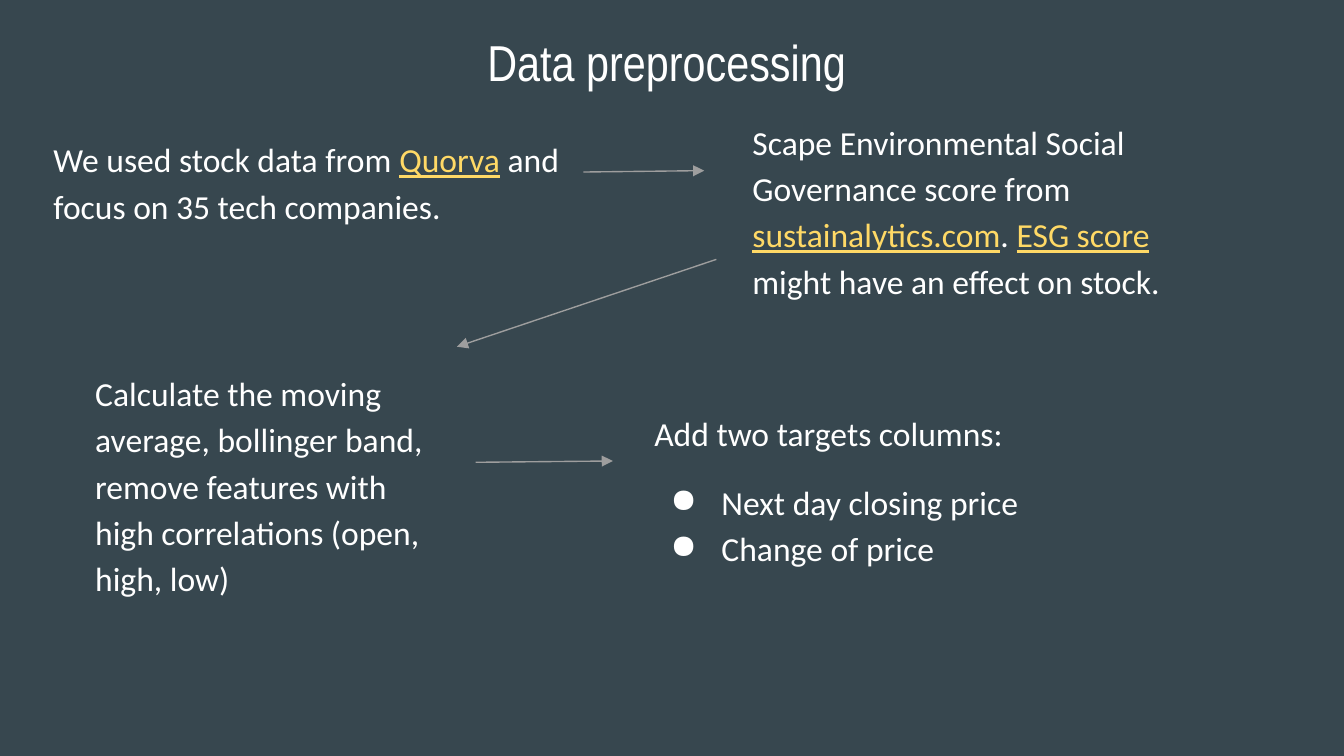
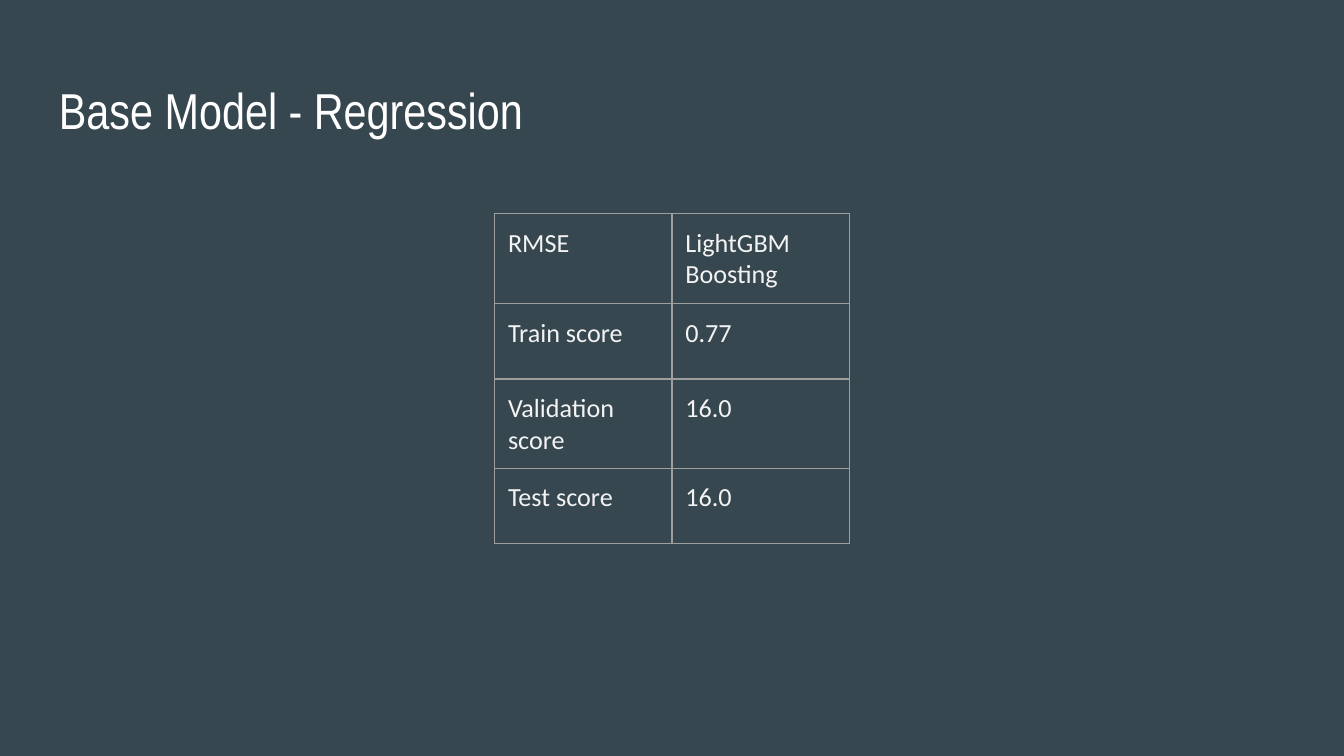
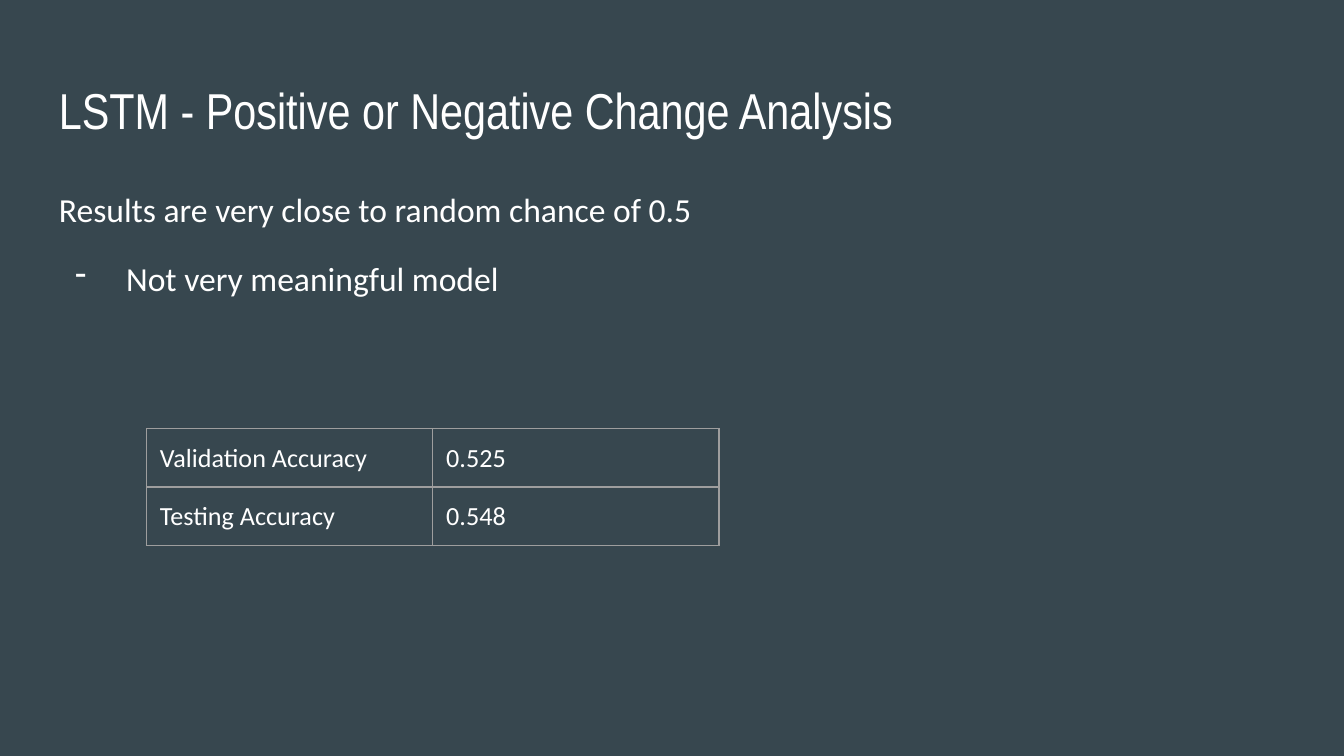
import dataclasses

import lxml.etree
import pptx
import pptx.dml.color
import pptx.enum.shapes
import pptx.enum.text
import pptx.oxml
import pptx.oxml.ns
import pptx.util

COLORS = {
    "ground": "37474F",
    "text": "FFFFFF",
    "soft": "F3F3F3",
    "link": "FFD966",
    "line": "9E9E9E",
}
TITLE_FONT, BODY_FONT = "Arial Narrow", "Calibri"
LINE_WIDTH = pptx.util.Pt(0.75)
INSET = pptx.util.Inches(0.1)

# The grid is 100 columns wide, with square cells.
SLIDE_WIDTH, SLIDE_HEIGHT = pptx.util.Inches(10), pptx.util.Inches(5.625)
CELL = SLIDE_WIDTH // 100


@dataclasses.dataclass
class Box:
    """An area of the slide, in grid columns and rows."""
    left: float
    top: float
    width: float
    height: float

    def point(self, column, row):
        return round((self.left + column) * CELL), round((self.top + row) * CELL)

    def inside(self, column, row, width, height):
        return Box(self.left + column, self.top + row, width, height)

    def lengths(self):
        return (*self.point(0, 0), round(self.width * CELL), round(self.height * CELL))


CONTENT = Box(3.4, 12.6, 93.2, 37.4)


def rgb(name):
    return pptx.dml.color.RGBColor.from_string(COLORS[name])


def add_element(parent, tag, **attributes):
    return lxml.etree.SubElement(parent, pptx.oxml.ns.qn(tag), **attributes)


def add_color(parent, name):
    add_element(parent, "a:srgbClr", val=COLORS[name])


def add_para(frame, text, size=18, font=BODY_FONT, color="text", align=None,
             spacing=1.15, before=0, after=0, bullet=None):
    """Append a paragraph; pieces of text between bars are shown as links."""
    para = frame.add_paragraph() if frame.text else frame.paragraphs[0]
    para.alignment = align
    para.line_spacing = spacing
    para.space_before = pptx.util.Pt(before)
    para.space_after = pptx.util.Pt(after)
    if bullet:
        properties = para._p.get_or_add_pPr()
        properties.set("marL", str(pptx.util.Inches(0.5)))
        properties.set("indent", str(pptx.util.Inches(-0.38)))
        add_color(add_element(properties, "a:buClr"), "text")
        add_element(properties, "a:buChar", char=bullet)
    for index, piece in enumerate(text.split("|")):
        is_link = index % 2 == 1
        span = para.add_run()
        span.text = piece
        span.font.name = font
        span.font.size = pptx.util.Pt(size)
        span.font.color.rgb = rgb("link" if is_link else color)
        if is_link:
            span.font.underline = True


def add_text_box(page, box):
    frame = page.shapes.add_textbox(*box.lengths()).text_frame
    frame.word_wrap = True
    frame.margin_left = frame.margin_right = INSET
    frame.margin_top = frame.margin_bottom = INSET
    return frame


def add_title(page, text, box=Box(3.4, 4.9, 93.2, 6.3), align=None):
    add_para(add_text_box(page, box), text, size=27, font=TITLE_FONT,
             align=align, spacing=1)


def add_arrow(page, start, end):
    arrow = page.shapes.add_connector(
        pptx.enum.shapes.MSO_CONNECTOR.STRAIGHT, *start, *end)
    arrow.line.color.rgb = rgb("line")
    arrow.line.width = LINE_WIDTH
    add_element(arrow.line._get_or_add_ln(), "a:tailEnd", type="triangle")
    add_element(arrow._element.spPr, "a:effectLst")


def add_cell_borders(cell):
    properties = cell._tc.get_or_add_tcPr()
    for side in ("L", "R", "T", "B"):
        border = add_element(properties, f"a:ln{side}", w=str(LINE_WIDTH))
        add_color(add_element(border, "a:solidFill"), "line")


def add_score_table(page, box, rows, row_heights, color):
    shape = page.shapes.add_table(len(rows), len(rows[0]), *box.lengths())
    table = shape.table
    table.first_row = table.horz_banding = False
    for column in table.columns:
        column.width = round(box.width * CELL / len(rows[0]))
    for row, height, texts in zip(table.rows, row_heights, rows):
        row.height = round(height * CELL)
        for cell, text in zip(row.cells, texts):
            cell.margin_left = cell.margin_right = INSET
            cell.margin_top = cell.margin_bottom = INSET
            add_cell_borders(cell)
            cell.fill.background()
            add_para(cell.text_frame, text, size=14, color=color, spacing=1)


def add_page(deck):
    page = deck.slides.add_slide(deck.slide_layouts[6])
    page.background.fill.solid()
    page.background.fill.fore_color.rgb = rgb("ground")
    return page


def add_preprocessing_flow(page, box):
    """Four steps in two rows, joined by arrows."""
    source = add_text_box(page, box.inside(0, 1.3, 40, 9.9))
    add_para(source, "We used stock data from |Quorva| and focus on 35 tech companies.",
             after=12)
    scores = add_text_box(page, box.inside(52, 0, 36.1, 20))
    add_para(scores, "Scape Environmental Social Governance score from "
                     "|sustainalytics.com|. |ESG score| might have an effect on stock.")
    features = add_text_box(page, box.inside(3.1, 18.7, 27.9, 24.2))
    add_para(features, "Calculate the moving average, bollinger band, remove "
                       "features with high correlations (open, high, low)")
    targets = add_text_box(page, box.inside(44.7, 21.7, 41.6, 18.9))
    add_para(targets, "Add two targets columns:")
    add_para(targets, "Next day closing price", bullet="●", before=12)
    add_para(targets, "Change of price", bullet="●")

    for start, end in [((40.4, 5.2), (49.4, 5.1)),
                       ((50.3, 11.7), (31, 18.2)),
                       ((32.4, 26.8), (42.6, 26.7))]:
        add_arrow(page, box.point(*start), box.point(*end))


def build_preprocessing(deck):
    page = add_page(deck)
    add_title(page, "Data preprocessing", Box(3, 1.3, 93.2, 6.3),
              align=pptx.enum.text.PP_ALIGN.CENTER)
    add_preprocessing_flow(page, Box(3, 7.6, 93.2, 43))


def build_regression(deck):
    page = add_page(deck)
    add_title(page, "Base Model - Regression")
    rows = [("RMSE", "LightGBM Boosting"),
            ("Train score", "0.77"),
            ("Validation score", "16.0"),
            ("Test score", "16.0")]
    add_score_table(page, CONTENT.inside(33.4, 3.3, 26.4, 23.5), rows,
                    [6.7, 5.6, 5.6, 5.6], "soft")


def build_change_analysis(deck):
    page = add_page(deck)
    add_title(page, "LSTM - Positive or Negative Change Analysis")
    findings = add_text_box(page, CONTENT)
    add_para(findings, "Results are very close to random chance of 0.5")
    add_para(findings, "Not very meaningful model", bullet="-", before=12)
    rows = [("Validation Accuracy", "0.525"), ("Testing Accuracy", "0.548")]
    add_score_table(page, CONTENT.inside(7.5, 19.3, 42.6, 8.4), rows,
                    [4.2, 4.2], "text")


def main():
    deck = pptx.Presentation()
    deck.slide_width, deck.slide_height = SLIDE_WIDTH, SLIDE_HEIGHT
    build_preprocessing(deck)
    build_regression(deck)
    build_change_analysis(deck)
    deck.save("out.pptx")


if __name__ == "__main__":
    main()
